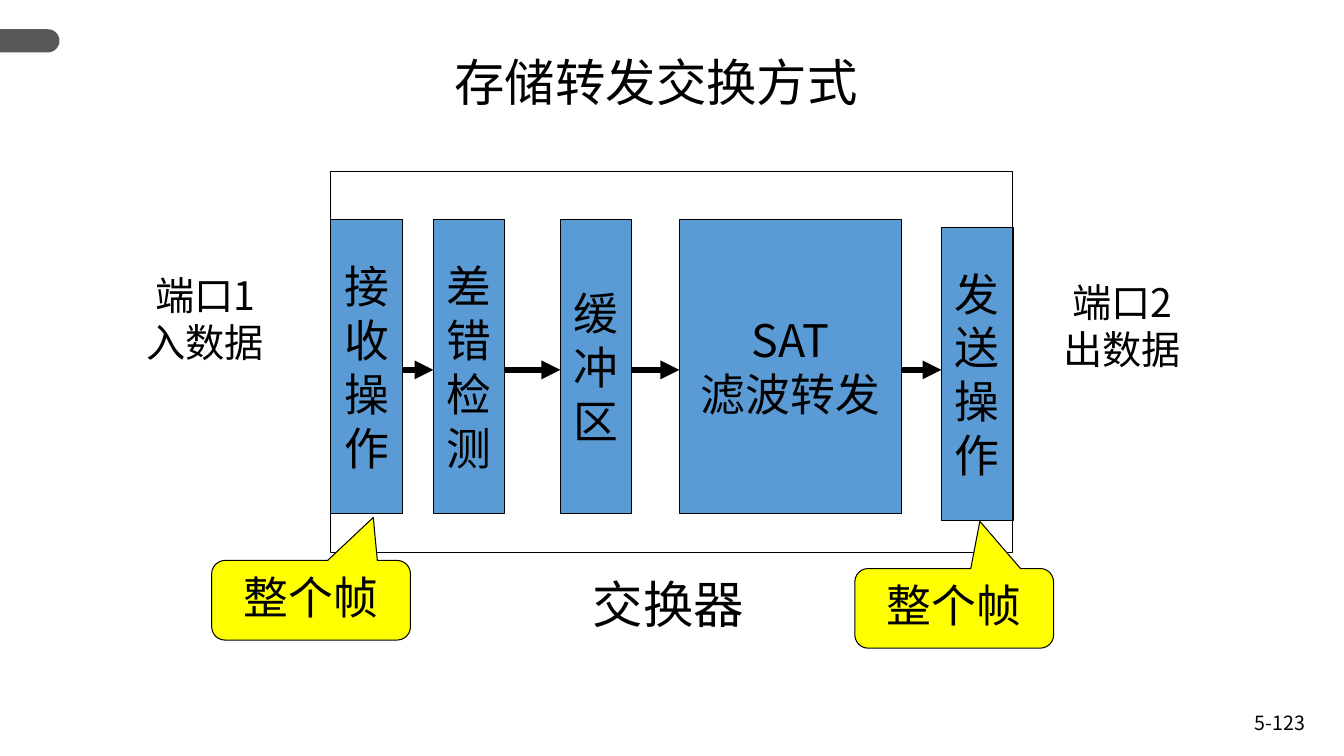
"""Build a slide on store-and-forward switching."""
from pptx import Presentation
from pptx.dml.color import RGBColor
from pptx.enum import shapes, text
from pptx.oxml import ns
from pptx.util import Pt
from lxml import etree

COLORS = {"ink": "000000", "block": "5B9BD5", "callout": "FFFF00", "tab": "575757"}
FONT = "Noto Sans CJK SC"
BLOCK_TOP, BLOCK_HEIGHT, BLOCK_WIDTH = 157, 209.5, 51.1
ARROW_Y = 264.2


def color(name):
    return RGBColor.from_string(COLORS[name])


def write_text(shape, content, size=32, align="CENTER", anchor="TOP", wrap=True, spacing=None):
    frame = shape.text_frame
    frame.word_wrap = wrap
    frame.vertical_anchor = getattr(text.MSO_ANCHOR, anchor)
    frame.text = content
    for paragraph in frame.paragraphs:
        paragraph.alignment = getattr(text.PP_ALIGN, align)
        paragraph.line_spacing = spacing
        for run in paragraph.runs:
            run.font.size = Pt(size)
            run.font.name = FONT
            run.font.color.rgb = color("ink")
            east_asian = etree.SubElement(run.font._element, ns.qn("a:ea"))
            east_asian.set("typeface", FONT)


def add_label(slide, content, left, top, width, height, **style):
    box = slide.shapes.add_textbox(Pt(left), Pt(top), Pt(width), Pt(height))
    write_text(box, content, **style)


def add_figure(slide, kind, left, top, width, height, fill=None, outlined=True):
    shape = slide.shapes.add_shape(kind, Pt(left), Pt(top), Pt(width), Pt(height))
    shape.shadow.inherit = False
    if fill:
        shape.fill.solid()
        shape.fill.fore_color.rgb = color(fill)
    else:
        shape.fill.background()
    if outlined:
        shape.line.color.rgb = color("ink")
        shape.line.width = Pt(0.75)
    else:
        shape.line.fill.background()
    return shape


def add_block(slide, content, left, top=BLOCK_TOP, width=BLOCK_WIDTH):
    block = add_figure(slide, shapes.MSO_SHAPE.RECTANGLE, left, top, width, BLOCK_HEIGHT, "block")
    write_text(block, content, anchor="MIDDLE", wrap=False)


def add_callout(slide, content, left, top, tip):
    kind = shapes.MSO_SHAPE.ROUNDED_RECTANGULAR_CALLOUT
    callout = add_figure(slide, kind, left, top, 142, 56.9, "callout")
    for index, value in enumerate((*tip, 0.167)):
        callout.adjustments[index] = value
    write_text(callout, content)


def add_arrow(slide, start, end):
    arrow = slide.shapes.add_connector(
        shapes.MSO_CONNECTOR.STRAIGHT, Pt(start), Pt(ARROW_Y), Pt(end), Pt(ARROW_Y))
    arrow.line.color.rgb = color("ink")
    arrow.line.width = Pt(4.5)
    etree.SubElement(arrow.line._get_or_add_ln(), ns.qn("a:tailEnd")).set("type", "triangle")
    etree.SubElement(arrow._element.spPr, ns.qn("a:effectLst"))


def add_corner_tab(slide):
    kind = shapes.MSO_SHAPE.ROUND_2_SAME_RECTANGLE
    tab = add_figure(slide, kind, 12.96, 7.92, 16.56, 42.48, "tab", outlined=False)
    tab.adjustments[0] = 0.5
    tab.rotation = 90


def main():
    presentation = Presentation()
    presentation.slide_width, presentation.slide_height = Pt(960), Pt(540)
    slide = presentation.slides.add_slide(presentation.slide_layouts[6])

    add_corner_tab(slide)
    add_label(slide, "5-123", 889.2, 504, 71, 36, size=14, align="LEFT")
    add_label(slide, "存储转发交换方式", 162.7, 38.2, 612, 59.8, size=36, spacing=0.9)
    add_figure(slide, shapes.MSO_SHAPE.RECTANGLE, 236.2, 122.4, 487.4, 272.2)

    blocks = [
        ("接\n收\n操\n作", 236.2, BLOCK_TOP, BLOCK_WIDTH),
        ("差\n错\n检\n测", 309.6, BLOCK_TOP, BLOCK_WIDTH),
        ("缓\n冲\n区", 400.3, BLOCK_TOP, BLOCK_WIDTH),
        ("SAT\n滤波转发", 485.3, BLOCK_TOP, 159),
        ("发\n送\n操\n作", 672.5, 162.3, BLOCK_WIDTH),
    ]
    for block in blocks:
        add_block(slide, *block)
    for (_, left, _, width), (_, next_left, _, _) in zip(blocks, blocks[1:]):
        add_arrow(slide, left + width, next_left)

    add_label(slide, "端口1\n入数据", 88.6, 190.1, 115.9, 74.2, size=28)
    add_label(slide, "端口2\n出数据", 746.6, 195.1, 110.2, 75.6, size=28)
    add_label(slide, "交换器", 338.4, 406.1, 277.9, 51.1, size=36)
    add_callout(slide, "整个帧", 151.2, 400.3, (0.313, -1.04))
    add_callout(slide, "整个帧", 610.6, 406.1, (0.129, -1.093))
    presentation.save("out.pptx")


if __name__ == "__main__":
    main()
